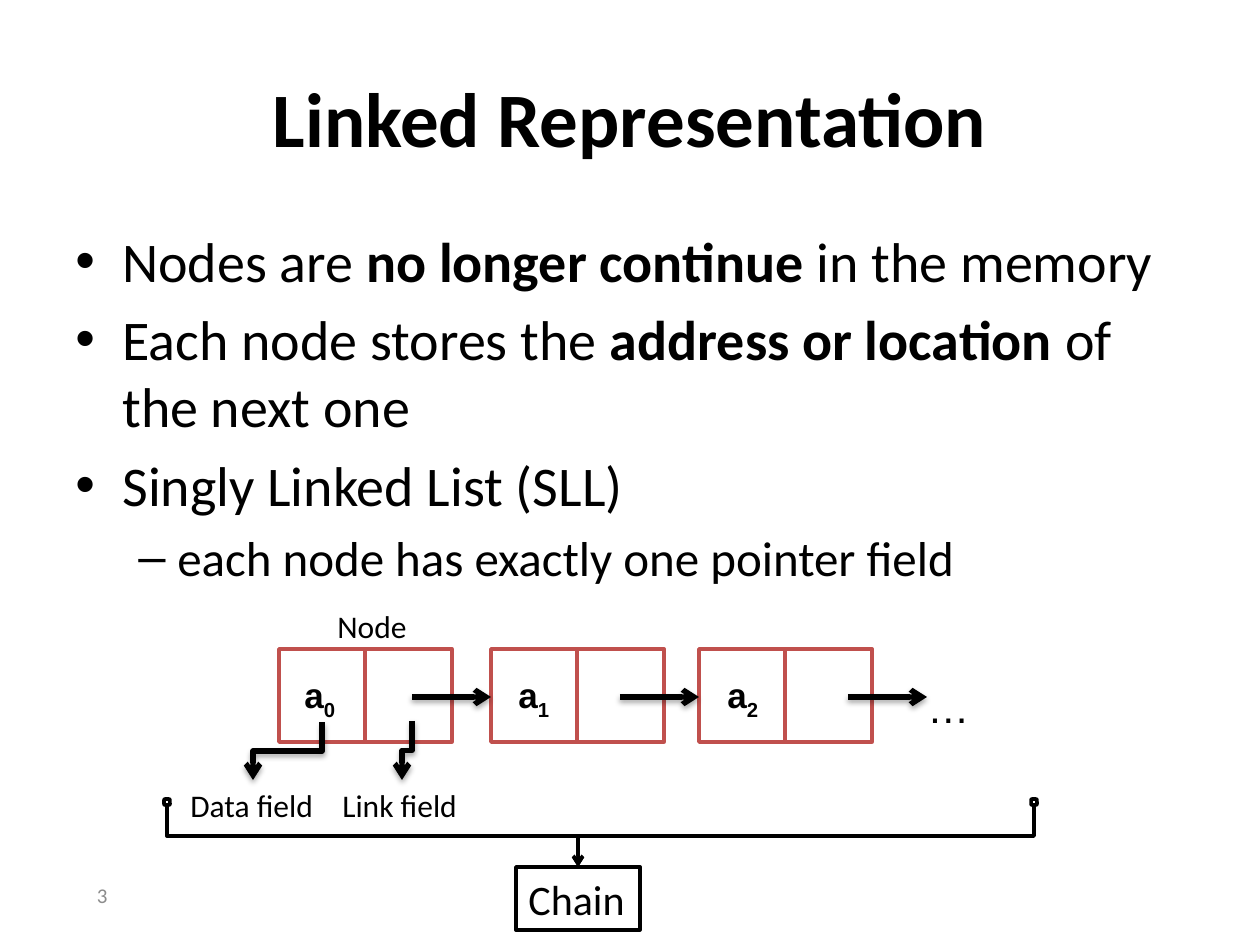
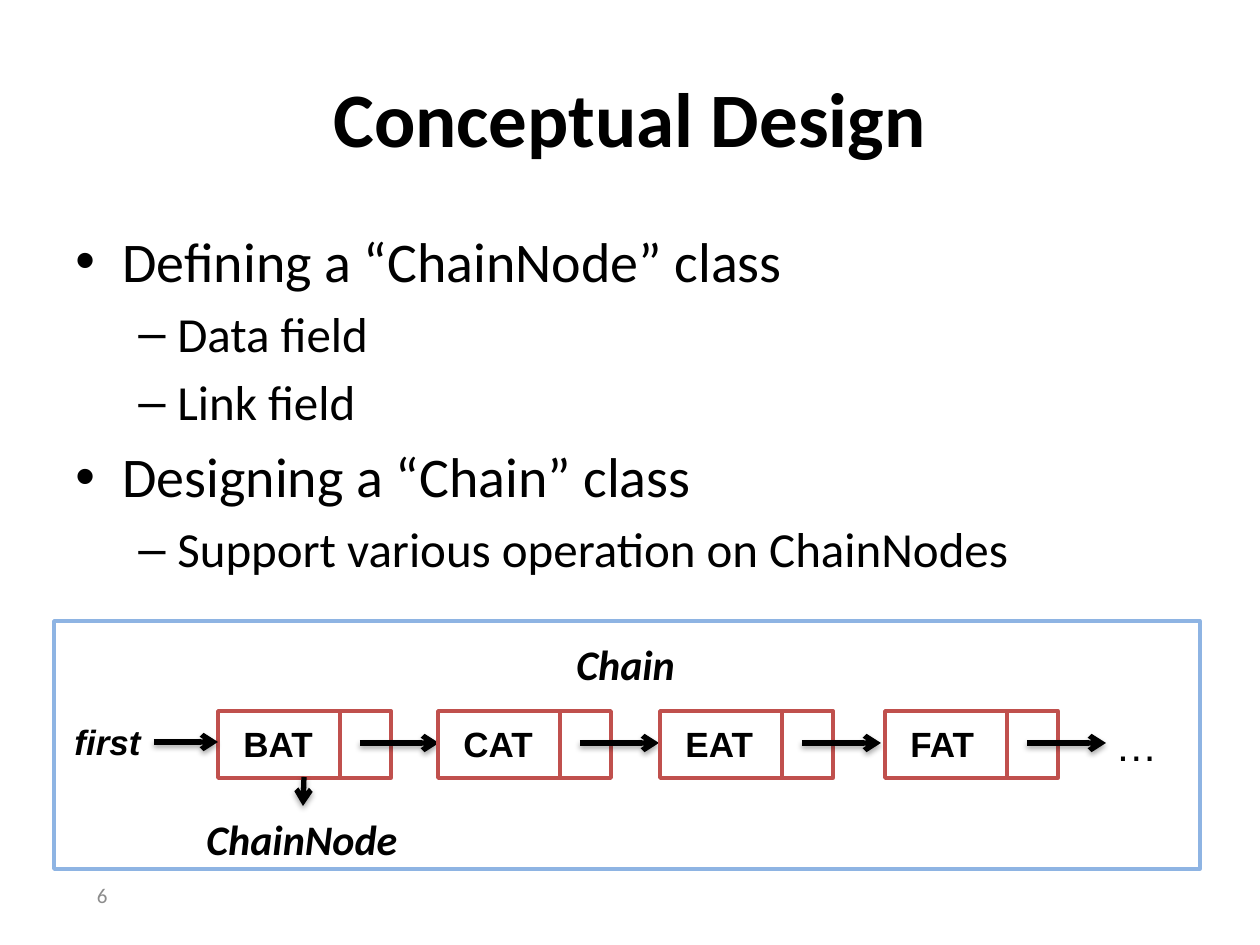
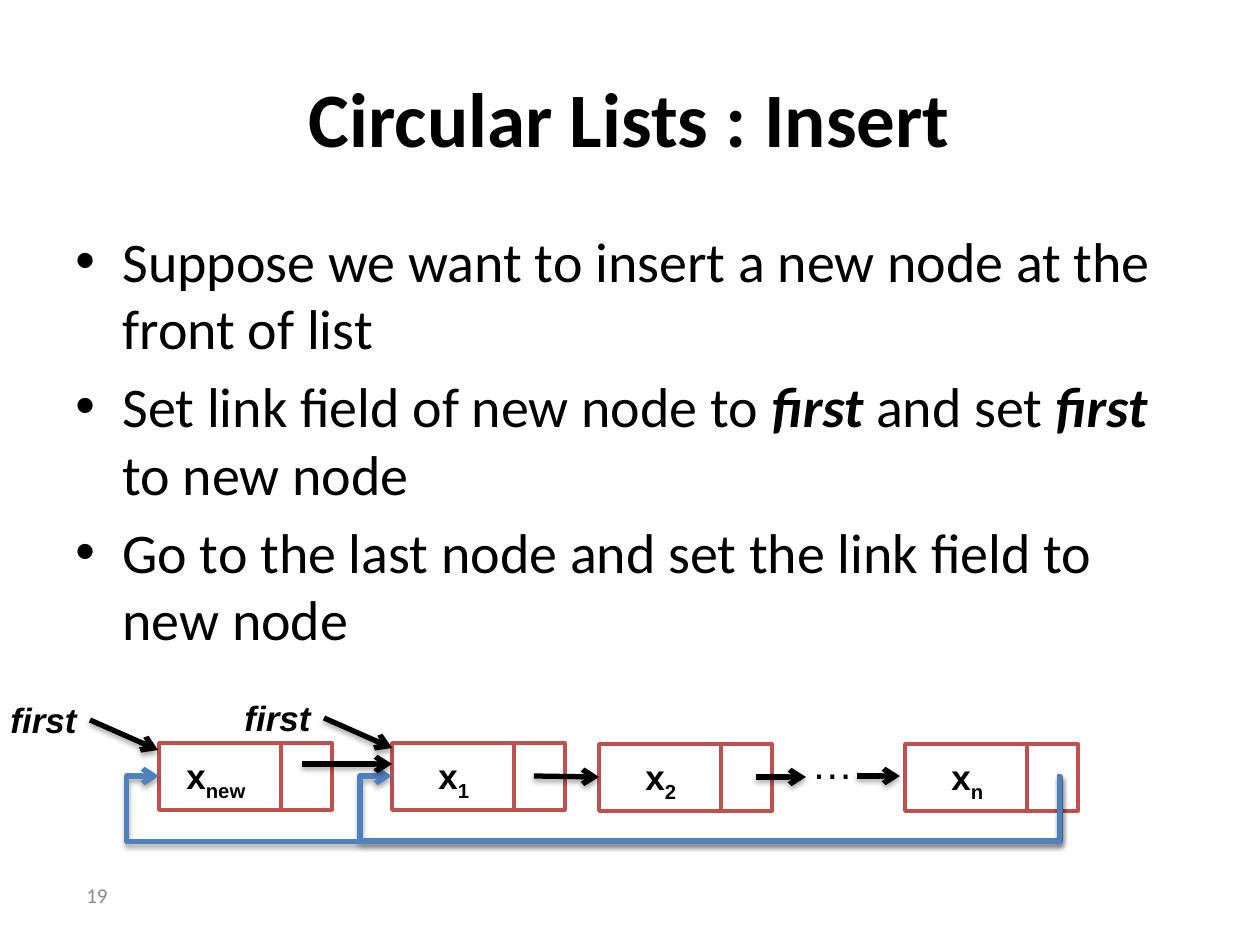
from lxml import etree
from pptx import Presentation
from pptx.dml.color import RGBColor
from pptx.enum import shapes, text
from pptx.oxml.ns import qn
from pptx.util import Emu, Pt

PX_PER_INCH = 126
BLACK, WHITE, GREY = "000000", "FFFFFF", "8C8C8C"
RED, BLUE, PALE_BLUE = "C0504D", "4F81BD", "8EB4E3"
BODY_FONT, NODE_FONT = "Calibri", "Arial"
# level: (bullet, text size, left margin, hanging indent)
LEVELS = {0: ("•", 32, 47, 47), 1: ("–", 28, 102, 39)}
NODE_WIDTH = 173


def px(length):
    return Emu(round(length * 914400 / PX_PER_INCH))


def color(value):
    return RGBColor.from_string(value)


def child(parent, tag, **attributes):
    return etree.SubElement(parent, qn(tag), attributes)


def add_spans(para, spans, size, font=BODY_FONT, ink=BLACK):
    """Spans are a string or (string, style) pairs; style letters: b, i, s (subscript)."""
    if isinstance(spans, str):
        spans = [(spans, "")]
    for words, style in spans:
        span = para.add_run()
        span.text = words
        span.font.name = font
        span.font.size = Pt(size)
        span.font.color.rgb = color(ink)
        span.font.bold = "b" in style
        span.font.italic = "i" in style
        if "s" in style:
            span._r.get_or_add_rPr().set("baseline", "-25000")


def add_text(parent, at, spans, size, font=BODY_FONT, ink=BLACK,
             align=text.PP_ALIGN.LEFT, middle=False, wrap=False):
    box = parent.add_textbox(*map(px, at))
    frame = box.text_frame
    frame.word_wrap = wrap
    if middle:
        frame.vertical_anchor = text.MSO_ANCHOR.MIDDLE
    else:
        frame.auto_size = text.MSO_AUTO_SIZE.SHAPE_TO_FIT_TEXT
    para = frame.paragraphs[0]
    para.alignment = align
    add_spans(para, spans, size, font, ink)


def add_bullets(page, items):
    frame = page.shapes.add_textbox(px(63), px(220), px(1134), px(624)).text_frame
    frame.word_wrap = True
    for index, (level, spans) in enumerate(items):
        bullet, size, margin, hanging = LEVELS[level]
        para = frame.add_paragraph() if index else frame.paragraphs[0]
        para.level = level
        if index:
            para.space_before = Pt(size * 0.2)
        props = para._p.get_or_add_pPr()
        props.set("marL", str(px(margin)))
        props.set("indent", str(-px(hanging)))
        child(props, "a:buFont", typeface="Arial")
        child(props, "a:buChar", char=bullet)
        add_spans(para, spans, size)


def add_box(parent, at, outline, fill=WHITE, kind=shapes.MSO_SHAPE.RECTANGLE):
    box = parent.add_shape(kind, *map(px, at))
    box.shadow.inherit = False
    if fill:
        box.fill.solid()
        box.fill.fore_color.rgb = color(fill)
    else:
        box.fill.background()
    box.line.color.rgb = color(outline)
    box.line.width = Pt(2)
    return box


def style_line(line, ink, width, head=True, shadow=True):
    line.line.color.rgb = color(ink)
    line.line.width = Pt(width)
    if head:
        child(line.line._get_or_add_ln(), "a:tailEnd", type="arrow")
    effects = child(line._element.spPr, "a:effectLst")
    if shadow:
        outer = child(effects, "a:outerShdw", blurRad="40000", dist="23000",
                      dir="5400000", rotWithShape="0")
        child(child(outer, "a:srgbClr", val=BLACK), "a:alpha", val="35000")


def add_arrow(page, start, end):
    line = page.shapes.add_connector(shapes.MSO_CONNECTOR.STRAIGHT,
                                     *map(px, (*start, *end)))
    style_line(line, BLACK, 3)


def add_elbow_down(page, start, end, width=3, shadow=True):
    """Arrow that leaves downwards, steps sideways halfway and ends downwards."""
    (x1, y1), (x2, y2) = start, end
    run, drop = abs(x2 - x1), y2 - y1
    left, top = (x1 + x2 - drop) / 2, (y1 + y2 - run) / 2
    line = page.shapes.add_connector(shapes.MSO_CONNECTOR.ELBOW,
                                     *map(px, (left, top, left + drop, top + run)))
    frame = line._element.spPr.find(qn("a:xfrm"))
    frame.set("rot", "16200000" if x2 > x1 else "5400000")
    if x2 > x1:
        frame.set("flipH", "1")
    style_line(line, BLACK, width, shadow=shadow)


def add_loop_back(page, start, end, right, bottom, left):
    """Arrow that runs right, down, back under the list and up to its target."""
    (x1, y1), (x2, y2) = start, end
    line = page.shapes.add_connector(shapes.MSO_CONNECTOR.ELBOW,
                                     *map(px, (x2, y2, x1, y1)))
    props = line._element.spPr
    props.find(qn("a:xfrm")).set("rot", "10800000")
    geometry = props.find(qn("a:prstGeom"))
    geometry.set("prst", "bentConnector5")
    guides = geometry.find(qn("a:avLst"))
    bends = ((x1 - right) / (x1 - x2), (y1 - bottom) / (y1 - y2), (x1 - left) / (x1 - x2))
    for number, bend in enumerate(bends, 1):
        child(guides, "a:gd", name=f"adj{number}", fmla=f"val {round(bend * 100000)}")
    style_line(line, BLUE, 3)


def add_node(page, left, top, label, label_at, label_width, height=67, divider=122):
    parts = page.shapes.add_group_shape().shapes
    add_box(parts, (left, top, NODE_WIDTH, height), RED)
    split = parts.add_connector(shapes.MSO_CONNECTOR.STRAIGHT, *map(
        px, (left + divider, top, left + divider, top + height)))
    style_line(split, RED, 2, head=False, shadow=False)
    dx, dy = label_at
    add_text(parts, (left + dx, top + dy, label_width, 55), label, 20, NODE_FONT)


def add_first(page, left, top):
    add_text(page.shapes, (left, top, 92, 55), [("first", "bi")], 20, NODE_FONT)


def add_ellipsis(page, left, top):
    add_text(page.shapes, (left, top, 68, 63), "…", 24, NODE_FONT)


def add_page(deck, title, number, bullets):
    page = deck.slides.add_slide(deck.slide_layouts[6])
    add_text(page.shapes, (63, 38, 1134, 157), [(title, "b")], 44,
             align=text.PP_ALIGN.CENTER, middle=True, wrap=True)
    add_bullets(page, bullets)
    add_text(page.shapes, (-174, 870, 294, 50), str(number), 12, ink=GREY,
             align=text.PP_ALIGN.RIGHT, middle=True, wrap=True)
    return page


def add_linked_page(deck):
    page = add_page(deck, "Linked Representation", 3, [
        (0, [("Nodes are ", ""), ("no longer continue", "b"), (" in the memory", "")]),
        (0, [("Each node stores the ", ""), ("address or location", "b"),
             (" of the next one", "")]),
        (0, "Singly Linked List (SLL)"),
        (1, "each node has exactly one pointer field"),
    ])
    for index, (left, label_dx) in enumerate([(279, 13), (491, 15), (699, 16)]):
        add_node(page, left, 649, [("a", "b"), (str(index), "bs")], (label_dx, 18), 58,
                 height=93, divider=86)
    add_ellipsis(page, 915, 675)
    for start in (412, 620, 848):
        add_arrow(page, (start, 697), (start + 79, 697))
    for label, at in [("Node", (325, 601, 96, 50)), ("Data field", (178, 780, 150, 50)),
                      ("Link field", (330, 780, 141, 50))]:
        add_text(page.shapes, at, label, 18)
    add_elbow_down(page, (322, 722), (253, 780))
    add_elbow_down(page, (412, 721), (402, 780))

    chain = add_box(page.shapes, (516, 867, 124, 63), BLACK)
    chain.text_frame.word_wrap = True
    chain.text_frame.vertical_anchor = text.MSO_ANCHOR.TOP
    para = chain.text_frame.paragraphs[0]
    para.alignment = text.PP_ALIGN.LEFT
    add_spans(para, "Chain", 24)
    for end in (167, 1034):
        add_box(page.shapes, (end - 3, 799, 6, 6), BLACK,
                kind=shapes.MSO_SHAPE.ROUNDED_RECTANGLE)
        add_elbow_down(page, (end, 805), (578, 867), width=2, shadow=False)


def add_design_page(deck):
    page = add_page(deck, "Conceptual Design", 6, [
        (0, "Defining a “ChainNode” class"),
        (1, "Data field"),
        (1, "Link field"),
        (0, "Designing a “Chain” class"),
        (1, "Support various operation on ChainNodes"),
    ])
    add_box(page.shapes, (54, 621, 1146, 248), PALE_BLUE, fill=None)
    for left, word, width in [(218, "BAT", 96), (438, "CAT", 96),
                              (660, "EAT", 93), (885, "FAT", 89)]:
        add_node(page, left, 711, [(word, "b")], (13, 5), width)
        add_arrow(page, (left + 142, 743), (left + 221, 743))
    add_first(page, 62, 714)
    add_arrow(page, (154, 742), (218, 742))
    add_arrow(page, (304, 777), (303, 806))
    add_ellipsis(page, 1103, 713)
    for label, at in [("ChainNode", (194, 807, 218, 63)), ("Chain", (564, 632, 125, 63))]:
        add_text(page.shapes, at, [(label, "bi")], 24)


def add_insert_page(deck):
    page = add_page(deck, "Circular Lists : Insert", 19, [
        (0, "Suppose we want to insert a new node at the front of list"),
        (0, [("Set link field of new node to ", ""), ("first", "bi"), (" and set ", ""),
             ("first", "bi"), (" to new node", "")]),
        (0, "Go to the last node and set the link field to new node"),
    ])
    for left, top, index, label_dx, width in [
            (392, 743, "1", 34, 58), (599, 744, "2", 34, 58),
            (905, 744, "n", 34, 59), (159, 743, "new", 15, 91)]:
        add_node(page, left, top, [("x", "b"), (index, "bs")], (label_dx, 5), width)
    add_ellipsis(page, 799, 731)
    for left, top in [(232, 690), (-2, 692)]:
        add_first(page, left, top)
        add_arrow(page, (left + 92, top + 28), (left + 160, top + 58))
    for target, bottom in [(392, 841), (159, 842)]:
        add_loop_back(page, (1057, 777), (target, 776), 1060, bottom, target - 32)
    for start, end in [((534, 776), (599, 777)), ((756, 777), (806, 777)),
                       ((857, 776), (900, 776)), ((302, 764), (392, 764))]:
        add_arrow(page, start, end)


def main():
    deck = Presentation()
    deck.slide_width, deck.slide_height = px(1260), px(945)
    add_linked_page(deck)
    add_design_page(deck)
    add_insert_page(deck)
    deck.save("out.pptx")


if __name__ == "__main__":
    main()
